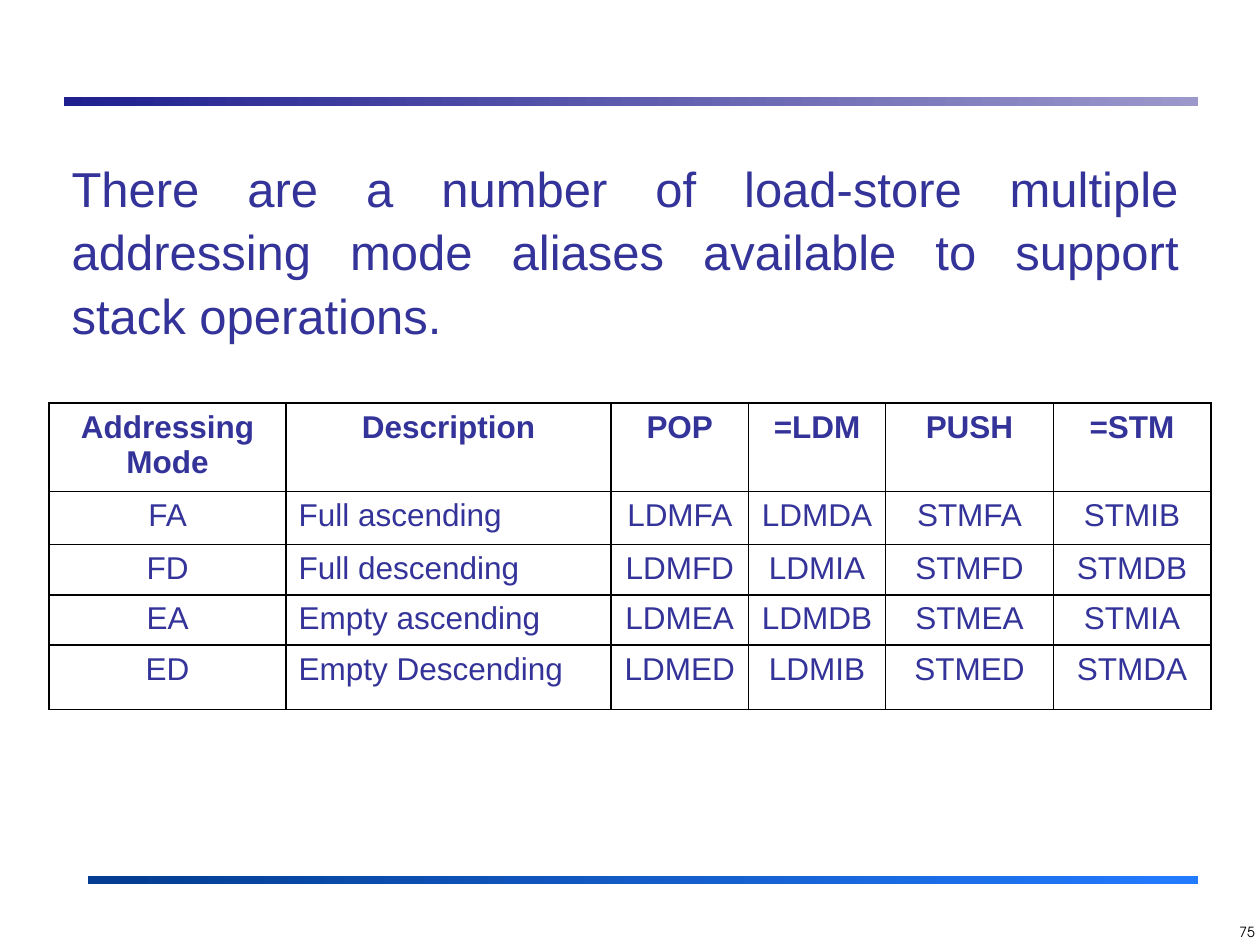
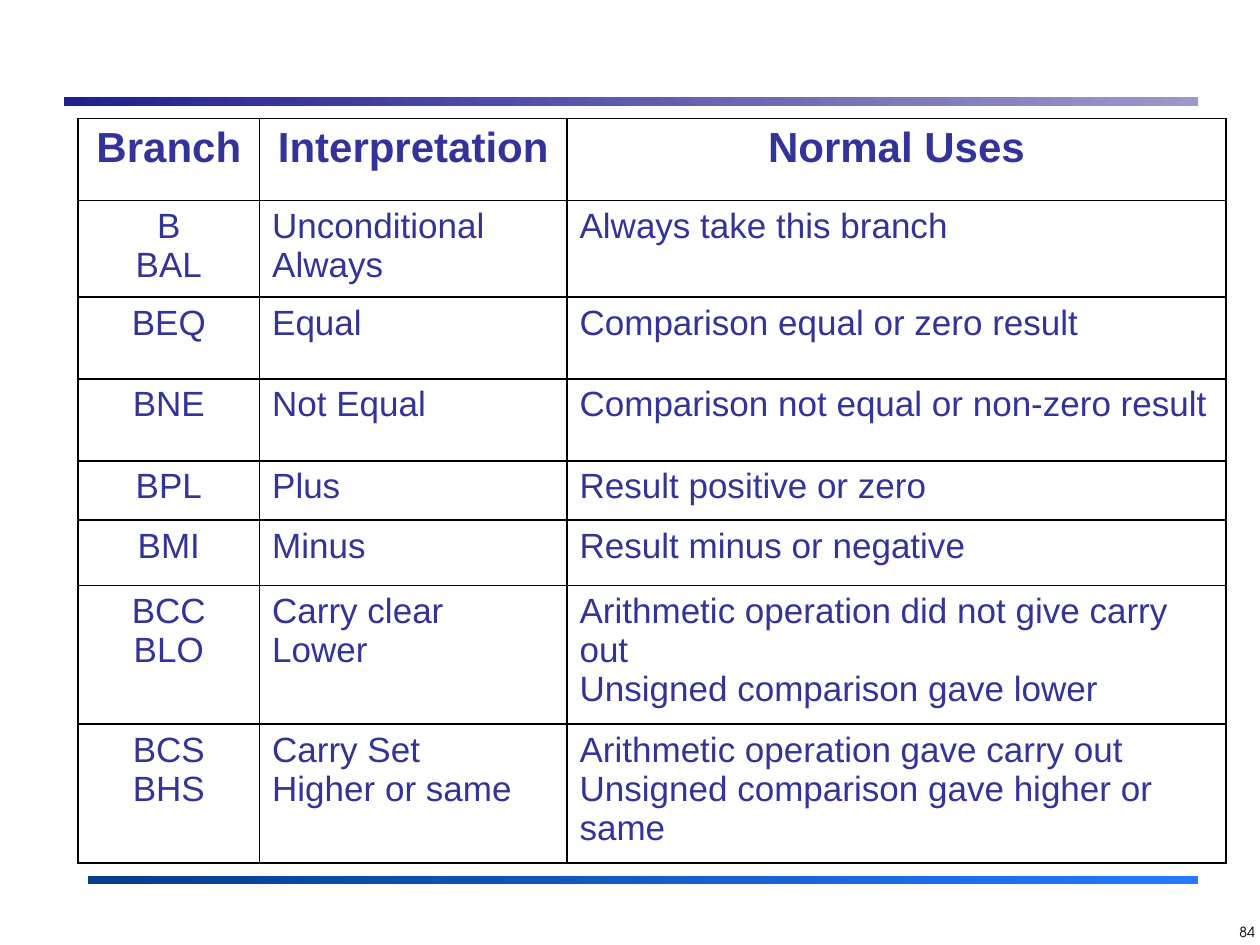
from dataclasses import dataclass
from itertools import product

from lxml.etree import SubElement
from pptx import Presentation
from pptx.dml.color import RGBColor
from pptx.enum.shapes import MSO_SHAPE
from pptx.enum.text import PP_ALIGN
from pptx.oxml.ns import qn
from pptx.util import Inches, Pt


@dataclass(frozen=True)
class Theme:
    ink: str = "333399"
    black: str = "000000"
    header_band: tuple = ("1F1F8F", "9C98CC")
    footer_band: tuple = ("033C90", "237BFF")
    body_font: str = "Arial"
    number_font: str = "TeX Gyre Adventor"
    statement_size: int = 28
    branch_header_size: int = 24
    branch_size: int = 20
    stack_size: int = 18
    number_size: int = 8
    border_width: int = 1


THEME = Theme()

STACK_COLUMNS = (1.88, 2.58, 1.09, 1.09, 1.33, 1.25)
STACK_HEIGHTS = (0.7, 0.42, 0.4, 0.4, 0.51)
STACK_ROWS = (
    ("Addressing Mode", "Description", "POP", "=LDM", "PUSH", "=STM"),
    ("FA", "Full ascending", "LDMFA", "LDMDA", "STMFA", "STMIB"),
    ("FD", "Full descending", "LDMFD", "LDMIA", "STMFD", "STMDB"),
    ("EA", "Empty ascending", "LDMEA", "LDMDB", "STMEA", "STMIA"),
    ("ED", "Empty Descending", "LDMED", "LDMIB", "STMED", "STMDA"),
)

BRANCH_COLUMNS = (1.44, 2.44, 5.23)
BRANCH_HEIGHTS = (0.65, 0.72, 0.65, 0.65, 0.47, 0.52, 1.03, 1.03)
BRANCH_ROWS = (
    ("Branch", "Interpretation", "Normal Uses"),
    ("B\nBAL", "Unconditional\nAlways", "Always take this branch"),
    ("BEQ", "Equal", "Comparison equal or zero result"),
    ("BNE", "Not Equal", "Comparison not equal or non-zero result"),
    ("BPL", "Plus", "Result positive or zero"),
    ("BMI", "Minus", "Result minus or negative"),
    ("BCC\nBLO", "Carry clear\nLower",
     "Arithmetic operation did not give carry out\nUnsigned comparison gave lower"),
    ("BCS\nBHS", "Carry Set\nHigher or same",
     "Arithmetic operation gave carry out\nUnsigned comparison gave higher or same"),
)


def apply_format(target, values):
    for name, value in values.items():
        setattr(target, name, value)


def write_text(frame, text, size, align, font=THEME.body_font, color=THEME.ink,
               bold=False, spacing=None):
    for index, line in enumerate(text.split("\n")):
        para = frame.add_paragraph() if index else frame.paragraphs[0]
        apply_format(para, {"alignment": align, "line_spacing": spacing})
        span = para.add_run()
        span.text = line
        apply_format(span.font, {"name": font, "size": Pt(size), "bold": bold})
        span.font.color.rgb = RGBColor.from_string(color)


def add_text(page, place, text, size, align, right_margin=0.1, **style):
    box = page.shapes.add_textbox(*map(Inches, place))
    apply_format(box.text_frame, {"word_wrap": True, "margin_right": Inches(right_margin)})
    write_text(box.text_frame, text, size, align, **style)


def add_band(page, place, colors):
    band = page.shapes.add_shape(MSO_SHAPE.RECTANGLE, *map(Inches, place))
    band.shadow.inherit = False
    band.line.fill.background()
    band.fill.gradient()
    band.fill.gradient_angle = 0
    for stop, color in zip(band.fill.gradient_stops, colors):
        stop.color.rgb = RGBColor.from_string(color)


def add_page(deck, number):
    page = deck.slides.add_slide(deck.slide_layouts[6])
    add_band(page, (0.51, 0.77, 9, 0.07), THEME.header_band)
    add_band(page, (0.7, 6.95, 8.81, 0.07), THEME.footer_band)
    add_text(page, (9.6, 7.28, 0.4, 0.22), str(number), THEME.number_size, PP_ALIGN.RIGHT,
             right_margin=0.04, font=THEME.number_font, color=THEME.black)
    return page


def add_borders(cell):
    properties = cell._tc.get_or_add_tcPr()
    for side in ("lnL", "lnR", "lnT", "lnB"):
        line = SubElement(properties, qn(f"a:{side}"), w=str(Pt(THEME.border_width)))
        fill = SubElement(line, qn("a:solidFill"))
        SubElement(fill, qn("a:srgbClr"), val=THEME.black)


def add_grid(page, left, top, columns, heights, rows, header_size, body_size, left_columns):
    grid = page.shapes.add_table(
        len(rows), len(columns), Inches(left), Inches(top),
        Inches(sum(columns)), Inches(sum(heights))).table
    apply_format(grid, {"first_row": False, "horz_banding": False})
    for column, width in zip(grid.columns, columns):
        column.width = Inches(width)
    for row, height in zip(grid.rows, heights):
        row.height = Inches(height)
    for row, column in product(range(len(rows)), range(len(columns))):
        cell = grid.cell(row, column)
        add_borders(cell)
        cell.fill.background()
        is_header = row == 0
        is_left = column in left_columns and not is_header
        write_text(cell.text_frame, rows[row][column],
                   header_size if is_header else body_size,
                   PP_ALIGN.LEFT if is_left else PP_ALIGN.CENTER, bold=is_header)


def main():
    deck = Presentation()
    apply_format(deck, {"slide_width": Inches(10), "slide_height": Inches(7.5)})

    stack_page = add_page(deck, 75)
    add_text(stack_page, (0.47, 1.17, 8.98, 1.51),
             "There are a number of load-store multiple addressing mode aliases "
             "available to support stack operations.",
             THEME.statement_size, PP_ALIGN.JUSTIFY, spacing=1.08)
    add_grid(stack_page, 0.39, 3.2, STACK_COLUMNS, STACK_HEIGHTS, STACK_ROWS,
             THEME.stack_size, THEME.stack_size, left_columns=(1,))

    branch_page = add_page(deck, 84)
    add_grid(branch_page, 0.62, 0.94, BRANCH_COLUMNS, BRANCH_HEIGHTS, BRANCH_ROWS,
             THEME.branch_header_size, THEME.branch_size, left_columns=(1, 2))

    deck.save("out.pptx")


if __name__ == "__main__":
    main()
